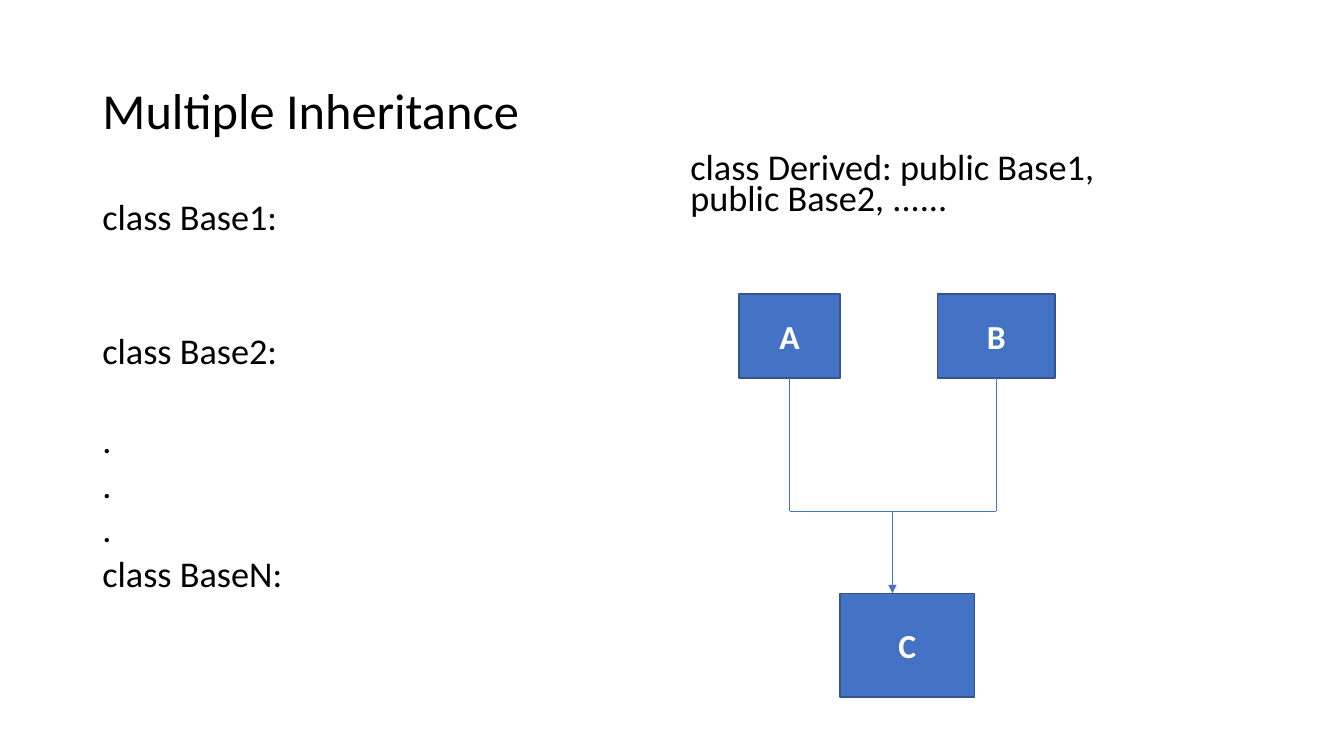
"""Build the multiple inheritance slide."""
import pptx
import pptx.dml.color
import pptx.enum.shapes
import pptx.enum.text
import pptx.oxml.ns
import pptx.util
from lxml import etree

PX = 9525
ANCHOR = pptx.enum.text.MSO_ANCHOR
ALIGN = pptx.enum.text.PP_ALIGN
BLUE, EDGE, BLACK, WHITE = "4472C4", "325491", "000000", "FFFFFF"
LEAD = 31.9


def px(*nums):
    """Turn pixel lengths into EMU."""
    return [pptx.util.Emu(num * PX) for num in nums]


def color(fmt, code):
    """Set a solid colour on a fill or font colour format."""
    fmt.rgb = pptx.dml.color.RGBColor.from_string(code)


def style(para, code, size, **form):
    """Format the font of a paragraph."""
    values = {"name": "Calibri", "size": pptx.util.Pt(size), **form}
    for key, value in values.items():
        setattr(para.font, key, value)
    color(para.font.color, code)


def title(slide, text, area):
    """Place and fill the title."""
    shape = slide.shapes.title
    shape.left, shape.top, shape.width, shape.height = px(*area)
    frame = shape.text_frame
    frame.text = text
    frame.vertical_anchor = ANCHOR.MIDDLE
    para = frame.paragraphs[0]
    para.alignment = ALIGN.LEFT
    para.line_spacing = 0.9
    style(para, BLACK, 36)


def code(slide, area, lines):
    """Add code lines, each with its count of skipped lines above."""
    frame = slide.shapes.add_textbox(*px(*area)).text_frame
    frame.word_wrap = True
    for num, (text, skip) in enumerate(lines):
        para = frame.add_paragraph() if num else frame.paragraphs[0]
        para.text = text
        para.line_spacing = 0.7
        para.space_before = pptx.util.Pt(10 + skip * LEAD if num else 0)
        style(para, BLACK, 25.9)


def box(slide, text, area):
    """Add a labelled class box."""
    kind = pptx.enum.shapes.MSO_SHAPE.RECTANGLE
    shape = slide.shapes.add_shape(kind, *px(*area))
    shape.shadow.inherit = False
    shape.fill.solid()
    color(shape.fill.fore_color, BLUE)
    color(shape.line.color, EDGE)
    shape.line.width = pptx.util.Pt(1)
    frame = shape.text_frame
    frame.text = text
    frame.vertical_anchor = ANCHOR.MIDDLE
    para = frame.paragraphs[0]
    para.alignment = ALIGN.CENTER
    style(para, WHITE, 24, bold=True)
    return shape


def link(slide, ends, start=None, arrow=False):
    """Add a straight line, from the foot of a box if one is given."""
    kind = pptx.enum.shapes.MSO_CONNECTOR.STRAIGHT
    line = slide.shapes.add_connector(kind, *px(*ends))
    color(line.line.color, BLUE)
    line.line.width = pptx.util.Pt(0.5)
    qn = pptx.oxml.ns.qn
    if arrow:
        edge = line.line._get_or_add_ln()
        etree.SubElement(edge, qn("a:tailEnd"), type="triangle")
    etree.SubElement(line._element.spPr, qn("a:effectLst"))
    if start is not None:
        line.begin_connect(start, 2)


def main():
    """Build and save the slide."""
    deck = pptx.Presentation()
    deck.slide_width, deck.slide_height = px(1280, 720)
    slide = deck.slides.add_slide(deck.slide_layouts[5])
    title(slide, "Multiple Inheritance", (88, 38, 1104, 139))
    code(slide, (88, 192, 544, 457), [
        ("class Base1:", 0), ("class Base2:", 2), (".", 1),
        (".", 0), (".", 0), ("class BaseN:", 0)])
    code(slide, (648, 144, 424, 499),
         [("class Derived: public Base1, public Base2, ......", 0)])

    foot, bar, top = 360, 487, 565
    mids = []
    for name, left, width in (("A", 704, 96), ("B", 893, 112)):
        base = box(slide, name, (left, 280, width, foot - 280))
        mid = left + width // 2
        link(slide, (mid, foot, mid, bar), start=base)
        mids.append(mid)
    link(slide, (mids[0], bar, mids[1], bar))
    stem = sum(mids) // 2
    link(slide, (stem, bar, stem, top), arrow=True)
    box(slide, "C", (800, top, 128, 99))
    deck.save("out.pptx")


if __name__ == "__main__":
    main()
